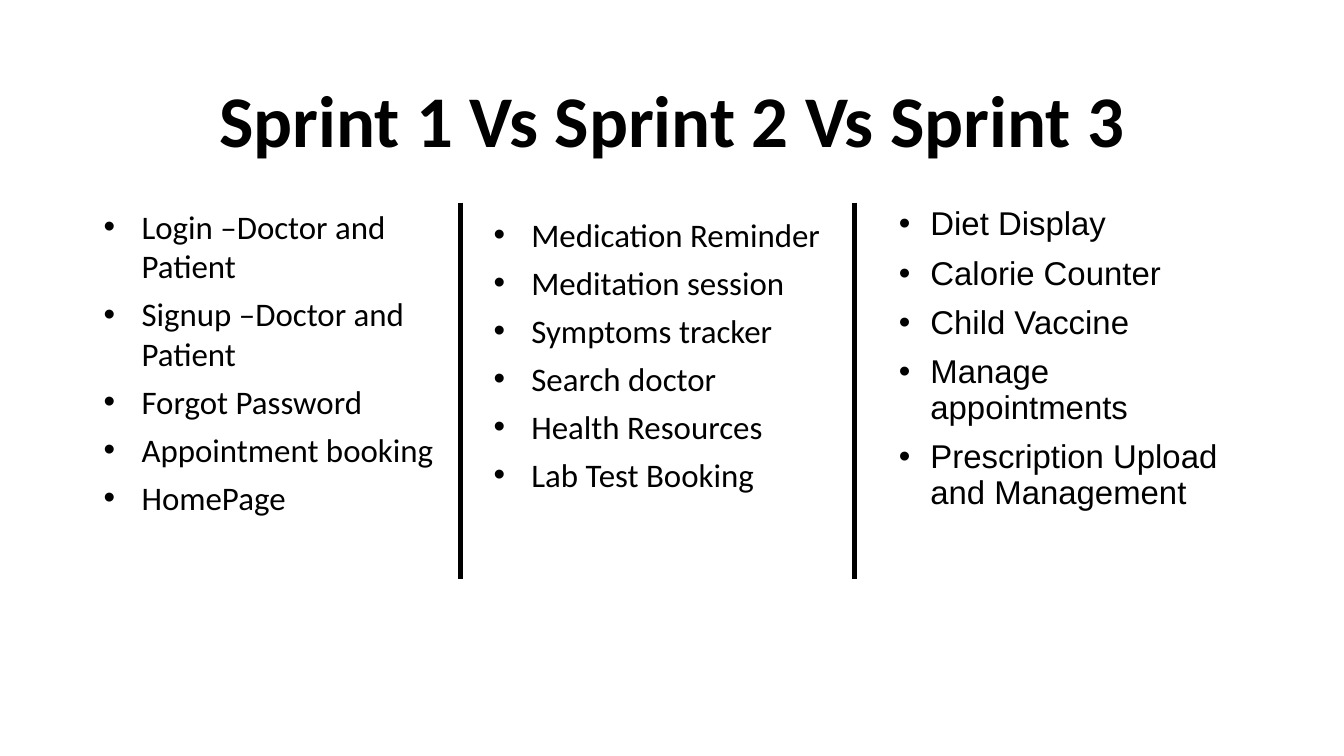
import pptx
import pptx.util
import pptx.dml.color
import pptx.enum.shapes
import pptx.enum.text
import lxml.etree
from pptx.oxml.ns import qn

Pt = pptx.util.Pt
BLACK = "000000"


def color(hex_value):
    return pptx.dml.color.RGBColor.from_string(hex_value)


def add_bullet(para, indent):
    """Give the paragraph a round bullet with a hanging indent in points."""
    properties = para._p.get_or_add_pPr()
    properties.set("marL", str(Pt(indent)))
    properties.set("indent", str(-Pt(indent)))
    lxml.etree.SubElement(properties, qn("a:buFont"), typeface="Arial")
    lxml.etree.SubElement(properties, qn("a:buChar"), char="•")


deck = pptx.Presentation()
deck.slide_width, deck.slide_height = Pt(960), Pt(540)
page = deck.slides.add_slide(deck.slide_layouts[5])
page.background.fill.solid()
page.background.fill.fore_color.rgb = color("FFFFFF")

# Title
title = page.shapes.title
title.left, title.top, title.width, title.height = Pt(66), Pt(44), Pt(828), Pt(89.5)
frame = title.text_frame
frame.text = "Sprint 1 Vs Sprint 2 Vs Sprint 3"
frame.auto_size = pptx.enum.text.MSO_AUTO_SIZE.NONE
frame.vertical_anchor = pptx.enum.text.MSO_ANCHOR.MIDDLE
para = frame.paragraphs[0]
para.alignment = pptx.enum.text.PP_ALIGN.CENTER
para.line_spacing = 0.9
font = para.runs[0].font
font.name, font.size, font.bold = "Calibri", Pt(52), True
font.color.rgb = color(BLACK)

# Sprint columns: place, font, indent, line spacing, space before, space after, items
sprints = [
    ((67, 144, 265, 337), "Calibri", 27, 1.0, 0, 6,
     ["Login –Doctor and Patient", "Signup –Doctor and Patient",
      "Forgot Password", "Appointment booking", "HomePage"]),
    ((345.5, 149.8, 401, 337), "Calibri", 27, 1.0, 0, 6,
     ["Medication Reminder", "Meditation session", "Symptoms tracker",
      "Search doctor", "Health Resources", "Lab Test Booking"]),
    ((635, 144.7, 258.5, 248.4), "Arial", 22.5, 0.9, 9.8, 0,
     ["Diet Display", "Calorie Counter", "Child Vaccine",
      "Manage appointments", "Prescription Upload and Management"]),
]
for place, font_name, indent, line_spacing, before, after, items in sprints:
    box = page.shapes.add_textbox(*map(Pt, place))
    frame = box.text_frame
    frame.word_wrap = True
    frame.text = "\n".join(items)
    for index, para in enumerate(frame.paragraphs):
        add_bullet(para, indent)
        para.line_spacing = line_spacing
        para.space_before = Pt(before if index else 0)
        para.space_after = Pt(after)
        font = para.runs[0].font
        font.name, font.size = font_name, Pt(23.5)
        font.color.rgb = color(BLACK)

# Dividers between the columns
for x in (329, 610.5):
    divider = page.shapes.add_connector(
        pptx.enum.shapes.MSO_CONNECTOR.STRAIGHT, Pt(x), Pt(144.7), Pt(x), Pt(413.3))
    divider.line.color.rgb = color(BLACK)
    divider.line.width = Pt(3.25)
    lxml.etree.SubElement(divider._element.spPr, qn("a:effectLst"))

deck.save("out.pptx")
